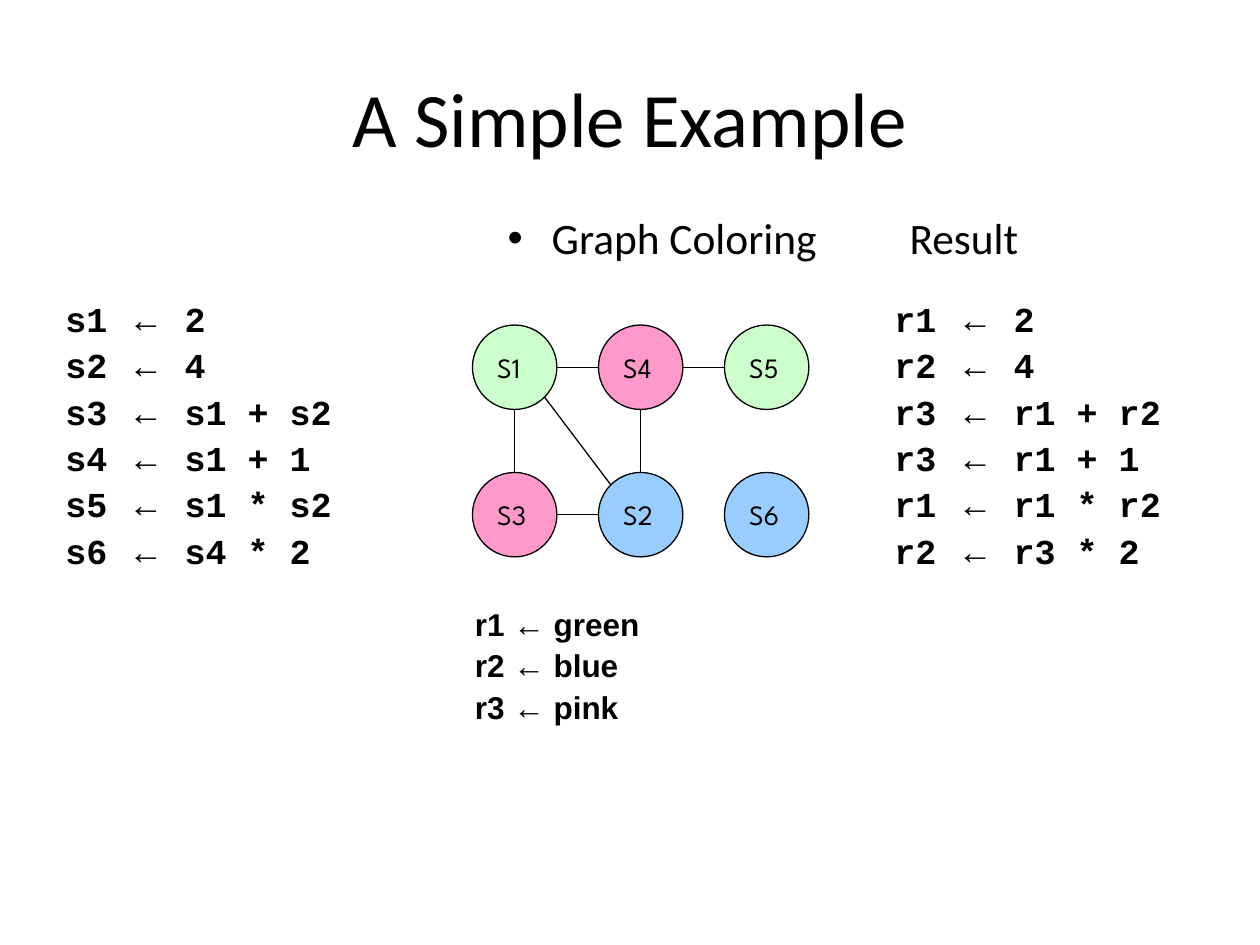
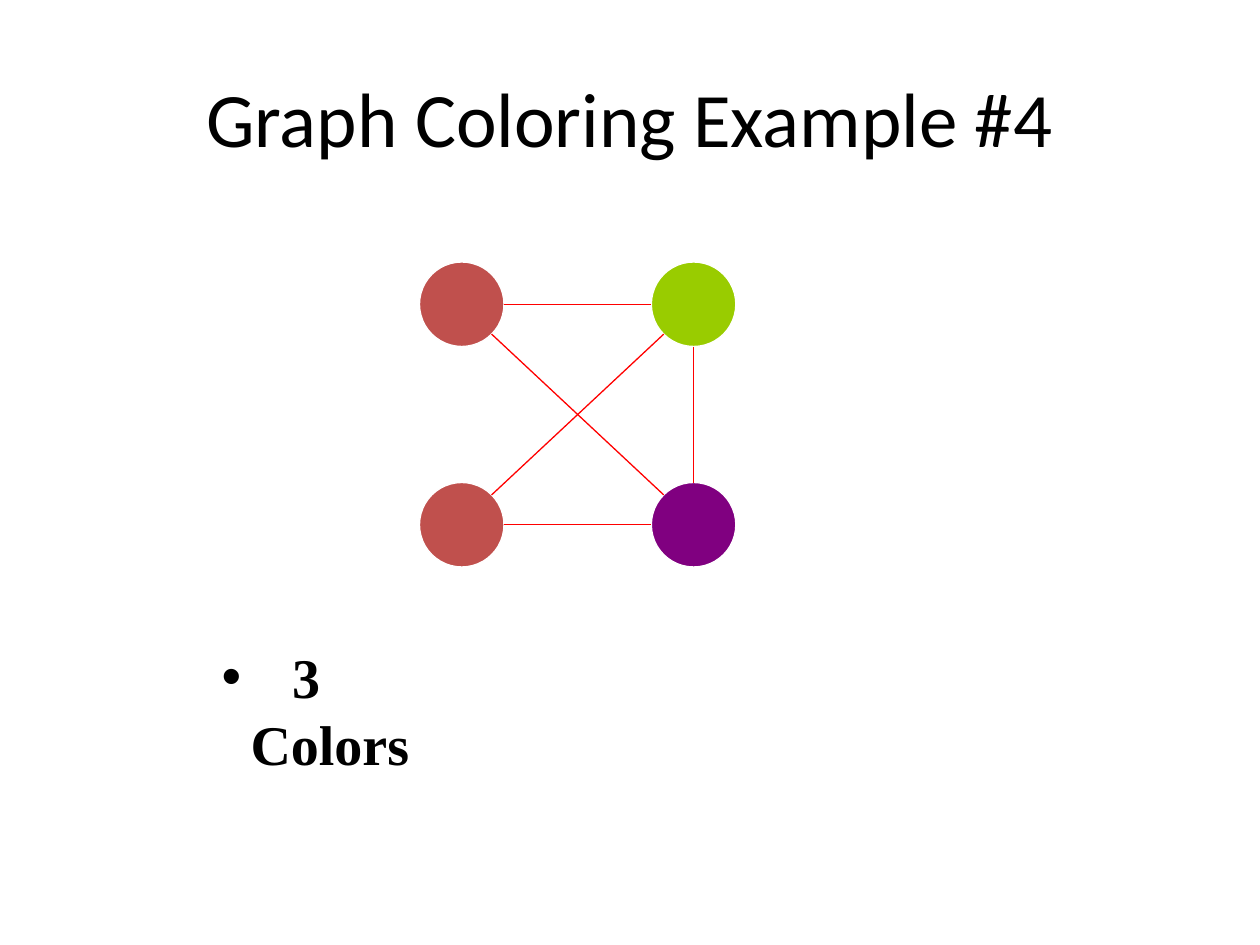
from dataclasses import dataclass
from math import sqrt

from lxml import etree
from pptx import Presentation
from pptx.dml.color import RGBColor
from pptx.enum.shapes import MSO_CONNECTOR, MSO_SHAPE
from pptx.enum.text import MSO_ANCHOR, PP_ALIGN
from pptx.oxml.ns import qn
from pptx.util import Inches, Pt

LEFT, CENTER = PP_ALIGN.LEFT, PP_ALIGN.CENTER
TOP, MIDDLE = MSO_ANCHOR.TOP, MSO_ANCHOR.MIDDLE
OVAL, STRAIGHT = MSO_SHAPE.OVAL, MSO_CONNECTOR.STRAIGHT


@dataclass(frozen=True)
class Theme:
    black: str = "000000"
    white: str = "FFFFFF"
    red: str = "FF0000"
    pale_green: str = "CCFFCC"
    pink: str = "FF99CC"
    pale_blue: str = "99CCFF"
    brick: str = "C0504D"
    lime: str = "99CC00"
    purple: str = "800080"
    body_font: str = "Calibri"
    code_font: str = "Courier New"
    arrow_font: str = "Arial"
    node_font: str = "League Spartan"
    answer_font: str = "Times New Roman"
    title_size: float = 44
    answer_size: float = 32
    heading_size: float = 24.8
    code_size: float = 20
    legend_size: float = 18
    node_size: float = 16
    line_width: float = 0.75


THEME = Theme()
DIAMETER = 0.67


def add_run(paragraph, text, font, size, bold=False):
    run = paragraph.add_run()
    run.text = text
    run.font.name = font
    run.font.size = Pt(size)
    run.font.bold = bold
    run.font.color.rgb = RGBColor.from_string(THEME.black)


def add_text(slide, box, lines, *, font, size, bold=False, align=LEFT, anchor=TOP,
             space_before=0, top_inset=0.05, arrow_font=None):
    """Add a text box; arrow_font, when given, sets the arrows apart."""
    shape = slide.shapes.add_textbox(*map(Inches, box))
    frame = shape.text_frame
    frame.word_wrap = True
    frame.vertical_anchor = anchor
    frame.margin_top = Inches(top_inset)
    for index, line in enumerate(lines):
        paragraph = frame.add_paragraph() if index else frame.paragraphs[0]
        paragraph.alignment = align
        paragraph.space_before = Pt(space_before)
        if arrow_font:
            before, arrow, after = line.partition("←")
            add_run(paragraph, before, font, size, bold)
            add_run(paragraph, arrow, arrow_font, size, bold)
            add_run(paragraph, after, font, size, bold)
        else:
            add_run(paragraph, line, font, size, bold)
    return shape


def add_bullet(shape, *, margin, hanging, tab):
    """Give the first paragraph a hanging bullet and one tab stop."""
    properties = shape.text_frame.paragraphs[0]._p.get_or_add_pPr()
    properties.set("marL", str(Inches(margin)))
    properties.set("indent", str(-Inches(hanging)))
    etree.SubElement(properties, qn("a:buFont"), typeface="Arial")
    etree.SubElement(properties, qn("a:buChar"), char="•")
    tabs = etree.SubElement(properties, qn("a:tabLst"))
    etree.SubElement(tabs, qn("a:tab"), pos=str(Inches(tab)), algn="l")


def add_title(slide, text):
    add_text(slide, (0.5, 0.3, 9, 1.25), [text], font=THEME.body_font,
             size=THEME.title_size, align=CENTER, anchor=MIDDLE)


def add_code(slide, left, width, lines):
    add_text(slide, (left, 1.83, width, 3.25), lines, font=THEME.code_font,
             size=THEME.code_size, bold=True, space_before=2.5, top_inset=0.53,
             arrow_font=THEME.arrow_font)


def add_node(slide, position, fill, outline, label=None):
    left, top = position
    shape = slide.shapes.add_shape(OVAL, *map(Inches, (left, top, DIAMETER, DIAMETER)))
    shape.shadow.inherit = False
    shape.fill.solid()
    shape.fill.fore_color.rgb = RGBColor.from_string(fill)
    shape.line.color.rgb = RGBColor.from_string(outline)
    shape.line.width = Pt(THEME.line_width)
    if label:
        frame = shape.text_frame
        frame.word_wrap = False
        frame.vertical_anchor = MIDDLE
        frame.paragraphs[0].alignment = LEFT
        add_run(frame.paragraphs[0], label, THEME.node_font, THEME.node_size)


def add_edge(slide, start, end, color):
    """Join the facing rims of two nodes, straight or from 45-degree points."""
    steps = [(b > a) - (b < a) for a, b in zip(start, end)]
    radius = DIAMETER / 2
    reach = radius / sqrt(2) if all(steps) else radius
    begin = [a + radius + step * reach for a, step in zip(start, steps)]
    finish = [b + radius - step * reach for b, step in zip(end, steps)]
    line = slide.shapes.add_connector(STRAIGHT, *map(Inches, begin + finish))
    line.line.color.rgb = RGBColor.from_string(color)
    line.line.width = Pt(THEME.line_width)
    etree.SubElement(line._element.spPr, qn("a:effectLst"))


def add_graph(slide, origin, pitch, nodes, edges, *, outline, edge_color, labels=False):
    """Draw nodes given as name: (column, row, fill), then their edges."""
    positions = {}
    for name, (column, row, fill) in nodes.items():
        positions[name] = (origin[0] + column * pitch[0], origin[1] + row * pitch[1])
        add_node(slide, positions[name], fill, outline, name if labels else None)
    for start, end in edges:
        add_edge(slide, positions[start], positions[end], edge_color)


def build_simple_example(slide):
    add_title(slide, "A Simple Example")
    # Program before and after register assignment
    add_code(slide, 0.42, 3.25, ["s1 ← 2", "s2 ← 4", "s3 ← s1 + s2",
                                 "s4 ← s1 + 1", "s5 ← s1 * s2", "s6 ← s4 * 2"])
    add_code(slide, 7, 2.58, ["r1 ← 2", "r2 ← 4", "r3 ← r1 + r2",
                              "r3 ← r1 + 1", "r1 ← r1 * r2", "r2 ← r3 * 2"])
    # Interference graph
    nodes = {
        "S1": (0, 0, THEME.pale_green), "S4": (1, 0, THEME.pink),
        "S3": (0, 1, THEME.pink), "S2": (1, 1, THEME.pale_blue),
        "S5": (2, 0, THEME.pale_green), "S6": (2, 1, THEME.pale_blue),
    }
    edges = [("S1", "S3"), ("S1", "S2"), ("S1", "S4"),
             ("S3", "S2"), ("S4", "S2"), ("S4", "S5")]
    add_graph(slide, (3.75, 2.58), (1, 1.17), nodes, edges,
              outline=THEME.black, edge_color=THEME.black, labels=True)
    # Colour legend and column headings
    add_text(slide, (3.67, 4.75, 2.75, 1.42),
             ["r1 ← green", "r2 ← blue", "r3 ← pink"], font=THEME.arrow_font,
             size=THEME.legend_size, bold=True, space_before=2.2)
    headings = add_text(slide, (3.83, 1.63, 5.35, 0.54), ["Graph Coloring\tResult"],
                        font=THEME.body_font, size=THEME.heading_size)
    add_bullet(headings, margin=0.45, hanging=0.35, tab=3.29)


def build_fourth_example(slide):
    add_title(slide, "Graph Coloring Example #4")
    # Four-node graph
    nodes = {
        "top left": (0, 0, THEME.brick), "top right": (1, 0, THEME.lime),
        "bottom left": (0, 1, THEME.brick), "bottom right": (1, 1, THEME.purple),
    }
    edges = [("top left", "top right"), ("bottom left", "top right"),
             ("bottom left", "bottom right"), ("top left", "bottom right"),
             ("top right", "bottom right")]
    add_graph(slide, (3.33, 2.08), (1.84, 1.75), nodes, edges,
              outline=THEME.white, edge_color=THEME.red)
    # Number of colours needed
    answer = add_text(slide, (1.66, 5.05, 2.28, 1.16), ["\t3 Colors"],
                      font=THEME.answer_font, size=THEME.answer_size, bold=True,
                      anchor=MIDDLE)
    add_bullet(answer, margin=0.23, hanging=0.23, tab=0.56)


def main():
    presentation = Presentation()
    presentation.slide_width, presentation.slide_height = Inches(10), Inches(7.5)
    blank = presentation.slide_layouts[6]
    for build in (build_simple_example, build_fourth_example):
        build(presentation.slides.add_slide(blank))
    presentation.save("out.pptx")


if __name__ == "__main__":
    main()
